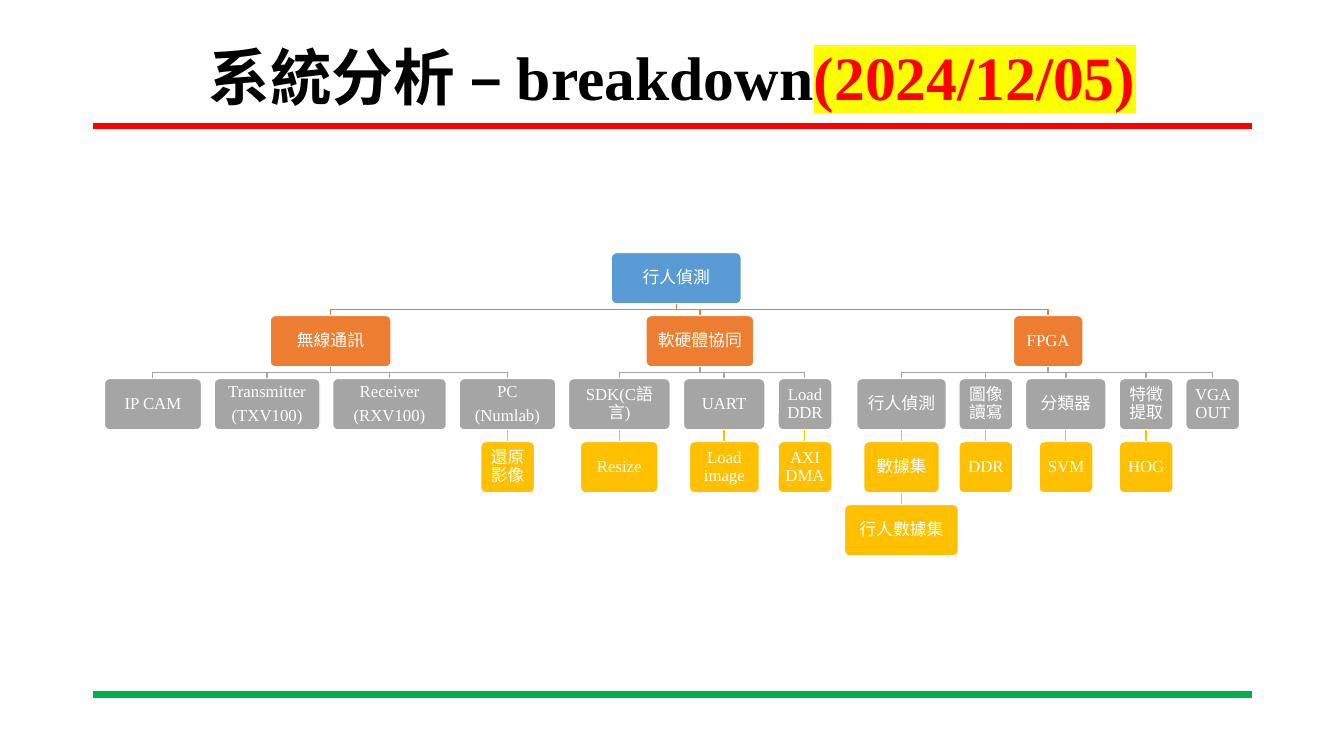
"""Build the pedestrian detection breakdown slide."""
import dataclasses
import typing

import lxml.etree
import pptx
import pptx.dml.color
import pptx.enum.shapes
import pptx.enum.text
import pptx.oxml.ns
import pptx.util

PX = 4572
FONT = "Times New Roman"
LEVEL_COLOURS = ["5B9BD5", "ED7D31", "A5A5A5", "FFC000", "FFC000"]
TREE_TOP, LEVEL_PITCH, BOX_HEIGHT, BOX_INSET = 501, 125, 102, 10
RULE_LEFT, RULE_RIGHT = 184, 2484


@dataclasses.dataclass
class Node:
    label: str
    centre: int
    width: int
    children: typing.List["Node"] = dataclasses.field(default_factory=list)


@dataclasses.dataclass
class Rule:
    y: int
    colour: str


RULES = [Rule(250, "FF0000"), Rule(1378, "00B050")]
TREE = Node("行人偵測", 1342, 258, [
    Node("無線通訊", 656, 240, [
        Node("IP CAM", 303, 193),
        Node("Transmitter\n(TXV100)", 530, 210),
        Node("Receiver\n(RXV100)", 773, 226),
        Node("PC\n(Numlab)", 1007, 192, [Node("還原影像", 1007, 107)]),
    ]),
    Node("軟硬體協同", 1389, 214, [
        Node("SDK(C語言)", 1229, 202, [Node("Resize", 1229, 154)]),
        Node("UART", 1437, 162, [Node("Load image", 1437, 139)]),
        Node("Load DDR", 1597, 107, [Node("AXI DMA", 1597, 107)]),
    ]),
    Node("FPGA", 2080, 138, [
        Node("行人偵測", 1789, 178, [
            Node("數據集", 1789, 150, [Node("行人數據集", 1789, 226)]),
        ]),
        Node("圖像讀寫", 1956, 107, [Node("DDR", 1956, 107)]),
        Node("分類器", 2115, 160, [Node("SVM", 2115, 107)]),
        Node("特徵提取", 2274, 107, [Node("HOG", 2274, 107)]),
        Node("VGA OUT", 2406, 107),
    ]),
])


def px(length: int) -> pptx.util.Emu:
    return pptx.util.Emu(length * PX)


def rgb(colour: str) -> pptx.dml.color.RGBColor:
    return pptx.dml.color.RGBColor.from_string(colour)


def style_line(line, colour: str, points: float) -> None:
    line.color.rgb = rgb(colour)
    line.width = pptx.util.Pt(points)


def draw_straight(page, start: typing.Tuple[int, int], end: typing.Tuple[int, int],
                  colour: str, points: float) -> None:
    line = page.shapes.add_connector(
        pptx.enum.shapes.MSO_CONNECTOR.STRAIGHT, *map(px, start + end))
    style_line(line.line, colour, points)
    properties = line._element.spPr
    lxml.etree.SubElement(properties, pptx.oxml.ns.qn("a:effectLst"))


def draw_branch(page, parent: Node, child: Node, bottom: int, top: int, colour: str) -> None:
    start, end = (parent.centre, bottom), (child.centre, top)
    if parent.centre == child.centre:
        draw_straight(page, start, end, colour, 1)
        return
    middle = (bottom + top) // 2
    builder = page.shapes.build_freeform(*start, scale=PX)
    builder.add_line_segments(
        [(parent.centre, middle), (child.centre, middle), end], close=False)
    branch = builder.convert_to_shape()
    branch.shadow.inherit = False
    branch.fill.background()
    style_line(branch.line, colour, 1)


def draw_box(page, node: Node, top: int, colour: str) -> None:
    box = page.shapes.add_shape(
        pptx.enum.shapes.MSO_SHAPE.ROUNDED_RECTANGLE, px(node.centre - node.width // 2),
        px(top), px(node.width), px(BOX_HEIGHT))
    box.adjustments[0] = 0.1
    box.shadow.inherit = False
    box.fill.solid()
    box.fill.fore_color.rgb = rgb(colour)
    style_line(box.line, "FFFFFF", 1)
    frame = box.text_frame
    frame.word_wrap = True
    frame.vertical_anchor = pptx.enum.text.MSO_ANCHOR.MIDDLE
    frame.margin_left = frame.margin_right = px(BOX_INSET)
    frame.margin_top = frame.margin_bottom = px(BOX_INSET)
    frame.text = node.label
    for para in frame.paragraphs:
        style_para(para, 12)
        para.font.color.rgb = rgb("FFFFFF")
    for para in frame.paragraphs[:-1]:
        para.space_after = pptx.util.Pt(4.2)


def style_para(para, points: int) -> None:
    para.alignment = pptx.enum.text.PP_ALIGN.CENTER
    para.line_spacing = 0.9
    para.font.name = FONT
    para.font.size = pptx.util.Pt(points)


def draw_tree(page, node: Node, level: int = 0) -> None:
    top = TREE_TOP + level * LEVEL_PITCH
    draw_box(page, node, top, LEVEL_COLOURS[level])
    for child in node.children:
        draw_branch(page, node, child, top + BOX_HEIGHT, top + LEVEL_PITCH,
                    LEVEL_COLOURS[level + 1])
        draw_tree(page, child, level + 1)


def draw_title(page) -> None:
    box = page.shapes.add_textbox(px(RULE_LEFT), px(80), px(RULE_RIGHT - RULE_LEFT), px(158))
    frame = box.text_frame
    frame.word_wrap = True
    frame.vertical_anchor = pptx.enum.text.MSO_ANCHOR.MIDDLE
    para = frame.paragraphs[0]
    style_para(para, 44)
    para.font.bold = True
    for text, colour in [("系統分析 – breakdown", "000000"), ("(2024/12/05)", "FF0000")]:
        span = para.add_run()
        span.text = text
        span.font.color.rgb = rgb(colour)
    qn = pptx.oxml.ns.qn
    highlight = lxml.etree.SubElement(span.font._element, qn("a:highlight"))
    lxml.etree.SubElement(highlight, qn("a:srgbClr"), val="FFFF00")


def main() -> None:
    deck = pptx.Presentation()
    deck.slide_width, deck.slide_height = px(2667), px(1500)
    page = deck.slides.add_slide(deck.slide_layouts[6])
    for rule in RULES:
        draw_straight(page, (RULE_LEFT, rule.y), (RULE_RIGHT, rule.y), rule.colour, 4.5)
    draw_title(page)
    draw_tree(page, TREE)
    deck.save("out.pptx")


if __name__ == "__main__":
    main()
